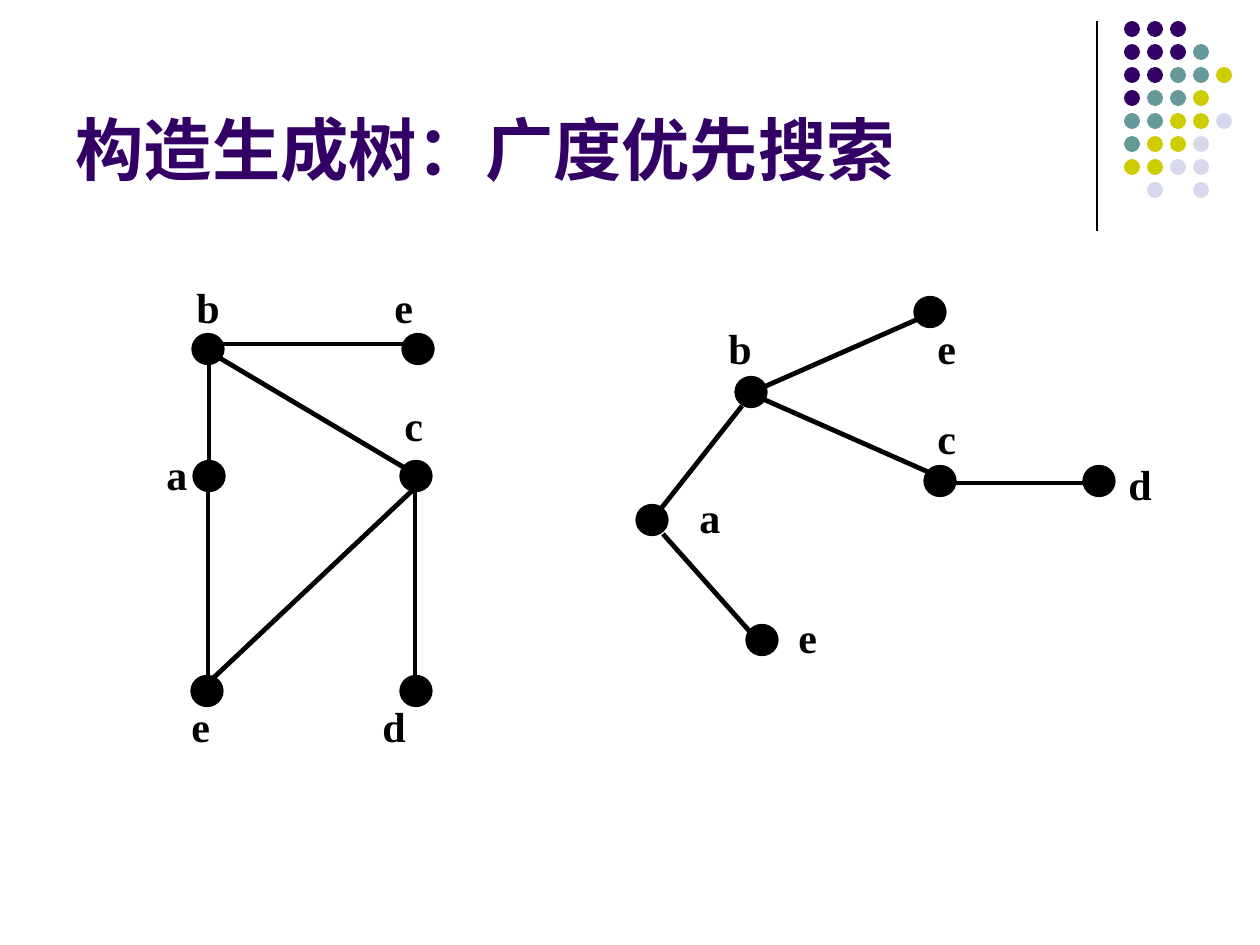
from dataclasses import dataclass
from typing import NamedTuple

from pptx import Presentation, util as u
from pptx.dml.color import RGBColor
from pptx.enum import shapes, text
from pptx.oxml import ns
from lxml import etree

EMU_PER_PX = 914400 / 126


@dataclass(frozen=True)
class Theme:
    title: str = "330066"
    ink: str = "000000"
    title_font: str = "Arial"
    label_font: str = "Times New Roman"
    title_size: float = 39
    label_size: float = 24
    edge_width: float = 2.75
    thin_width: float = 0.75


class Node(NamedTuple):
    name: str
    x: int  # centre
    y: int
    label_x: int  # top left of the label box
    label_y: int
    label_w: int = 74
    label_h: int = 83


class Edge(NamedTuple):
    x1: int
    y1: int
    x2: int
    y2: int


class Graph(NamedTuple):
    nodes: list[Node]
    edges: list[Edge]


THEME = Theme()
NODE_W, NODE_H = 32, 31

# Dot ornament: one letter per dot, a point for a gap
DOT_ROWS = ["PPP", "PPPT", "PPTTY", "PTTY", "TTYYL", "TYYL", "YYLL", ".L.L"]
DOT_COLORS = {"P": "330066", "T": "669999", "Y": "CCCC00", "L": "D8D8EC"}
DOT_LEFT, DOT_TOP, DOT_PITCH, DOT_SIZE = 1124, 21, 23, 16

SOURCE_GRAPH = Graph(
    nodes=[
        Node("a", 209, 476, 154, 442),
        Node("b", 208, 349, 184, 275, label_h=63),
        Node("c", 416, 476, 392, 393, 64, 63),
        Node("d", 416, 691, 370, 694),
        Node("e", 207, 691, 179, 694),
        Node("e", 418, 349, 382, 275, 64, 63),
    ],
    edges=[
        Edge(209, 464, 209, 363),
        Edge(415, 488, 208, 683),
        Edge(415, 488, 415, 680),
        Edge(208, 488, 208, 680),
        Edge(213, 354, 415, 474),
        Edge(412, 344, 223, 344),
    ],
)

SPANNING_TREE = Graph(
    nodes=[
        Node("a", 652, 520, 687, 485),
        Node("b", 751, 392, 716, 316, label_h=63),
        Node("c", 940, 481, 925, 406, 64, 63),
        Node("d", 1099, 481, 1116, 452),
        Node("e", 762, 640, 786, 605),
        Node("e", 930, 312, 925, 316, 64, 63),
    ],
    edges=[
        Edge(656, 515, 742, 406),
        Edge(663, 534, 752, 634),
        Edge(954, 483, 1094, 483),
        Edge(756, 396, 935, 475),
        Edge(925, 316, 766, 386),
    ],
)


def px(n: float) -> int:
    return u.Emu(round(n * EMU_PER_PX))


def rgb(color: str) -> RGBColor:
    return RGBColor.from_string(color)


def write(tf, words: str, *, font: str, size: float, color: str, bold: bool = True) -> None:
    tf.word_wrap = True
    p = tf.paragraphs[0]
    p.alignment = text.PP_ALIGN.LEFT
    r = p.add_run()
    r.text = words
    r.font.name = font
    r.font.size = u.Pt(size)
    r.font.bold = bold
    r.font.color.rgb = rgb(color)


def draw_line(s, edge: Edge, width: float) -> None:
    line = s.shapes.add_connector(shapes.MSO_CONNECTOR.STRAIGHT, *map(px, edge))
    line.line.color.rgb = rgb(THEME.ink)
    line.line.width = u.Pt(width)
    etree.SubElement(line._element.spPr, ns.qn("a:effectLst"))


def draw_dot(s, x: float, y: float, w: int, h: int, color: str, outlined: bool = False) -> None:
    sp = s.shapes.add_shape(shapes.MSO_SHAPE.OVAL, px(x), px(y), px(w), px(h))
    sp.shadow.inherit = False
    sp.fill.solid()
    sp.fill.fore_color.rgb = rgb(color)
    if outlined:
        sp.line.color.rgb = rgb(color)
        sp.line.width = u.Pt(THEME.thin_width)
    else:
        sp.line.fill.background()


def draw_ornament(s) -> None:
    draw_line(s, Edge(1097, 21, 1097, 231), THEME.thin_width)
    for row, letters in enumerate(DOT_ROWS):
        for col, letter in enumerate(letters):
            if letter in DOT_COLORS:
                draw_dot(s, DOT_LEFT + col * DOT_PITCH, DOT_TOP + row * DOT_PITCH,
                         DOT_SIZE, DOT_SIZE, DOT_COLORS[letter])


def draw_title(s, words: str) -> None:
    sp = s.shapes.title
    sp.left, sp.top, sp.width, sp.height = map(px, (63, 16, 1040, 179))
    tf = sp.text_frame
    tf.auto_size = text.MSO_AUTO_SIZE.NONE
    tf.vertical_anchor = text.MSO_ANCHOR.BOTTOM
    write(tf, words, font=THEME.title_font, size=THEME.title_size, color=THEME.title)


def draw_graph(s, graph: Graph) -> None:
    for edge in graph.edges:
        draw_line(s, edge, THEME.edge_width)
    for n in graph.nodes:
        draw_dot(s, n.x - NODE_W / 2, n.y - NODE_H / 2, NODE_W, NODE_H, THEME.ink, outlined=True)
        box = s.shapes.add_textbox(px(n.label_x), px(n.label_y), px(n.label_w), px(n.label_h))
        box.text_frame.auto_size = text.MSO_AUTO_SIZE.SHAPE_TO_FIT_TEXT
        write(box.text_frame, n.name, font=THEME.label_font, size=THEME.label_size, color=THEME.ink)


def main() -> None:
    prs = Presentation()
    prs.slide_width, prs.slide_height = px(1260), px(945)
    s = prs.slides.add_slide(prs.slide_layouts[5])  # title only

    draw_ornament(s)
    draw_title(s, "构造生成树：广度优先搜索")

    # Graph on the left, its breadth-first tree on the right
    for graph in (SOURCE_GRAPH, SPANNING_TREE):
        draw_graph(s, graph)

    prs.save("out.pptx")


if __name__ == "__main__":
    main()
